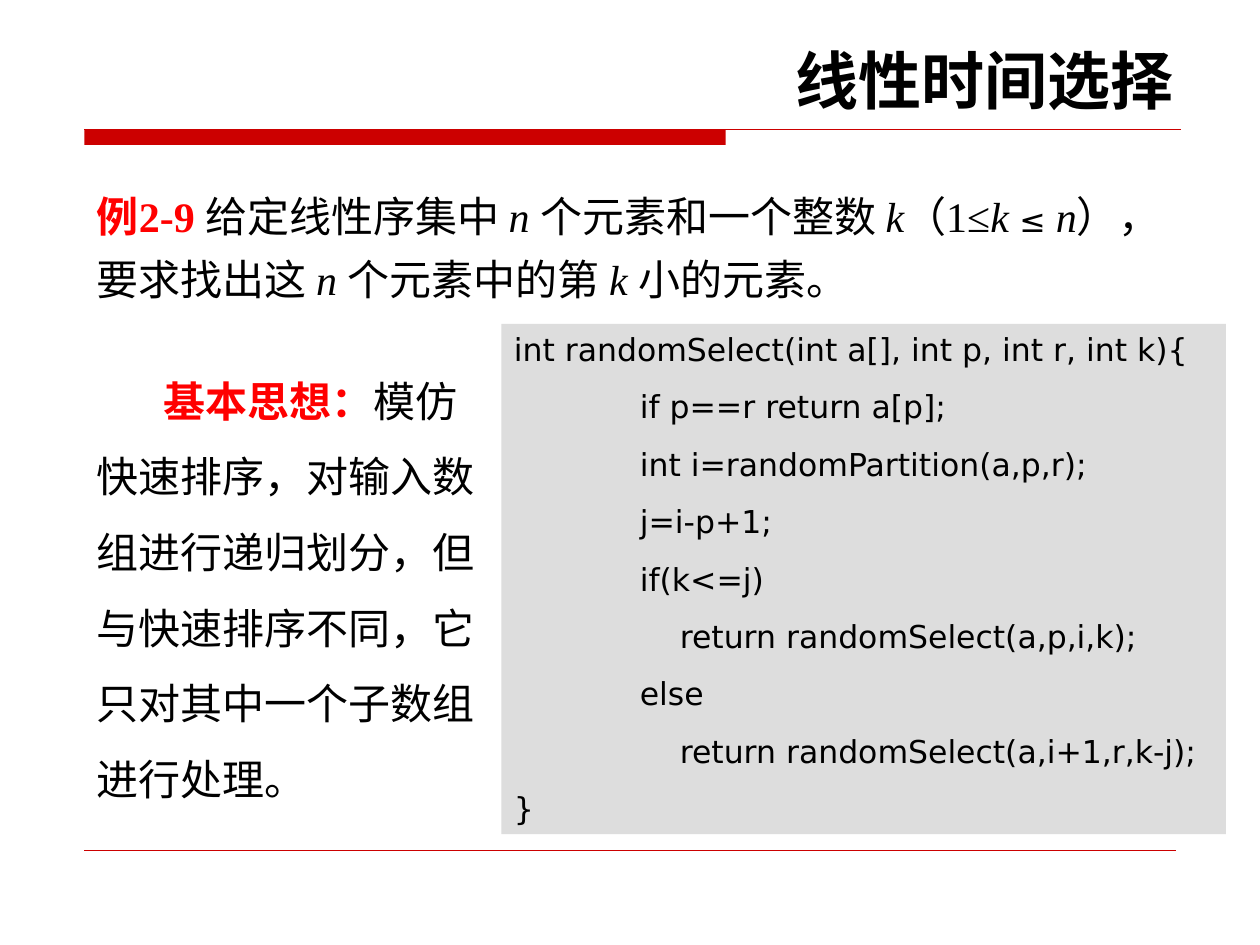
from lxml import etree
from pptx import Presentation
from pptx.dml.color import RGBColor
from pptx.enum import shapes, text
from pptx.oxml.ns import qn
from pptx.util import Inches, Pt

COLORS = {"red": "CC0000", "accent": "FF0000", "ink": "000000", "panel": "DDDDDD"}
SANS, SERIF = "DejaVu Sans", "Times New Roman"

# Content: each run is (text, style name)
TITLE = [("线性时间选择", "title")]
PROBLEM = [
    ("例2-9 ", "lead"), ("给定线性序集中 ", "body"), ("n ", "variable"),
    ("个元素和一个整数 ", "body"), ("k", "variable"), ("（1≤", "body"),
    ("k ", "variable"), ("≤ ", "code"), ("n", "variable"),
    ("），要求找出这 ", "body"), ("n ", "variable"), ("个元素中的第 ", "body"),
    ("k ", "variable"), ("小的元素。", "body"),
]
IDEA = [
    ("基本思想：", "lead"),
    ("模仿快速排序，对输入数组进行递归划分，但与快速排序不同，它只对其中一个子数组进行处理。", "body"),
]
CODE = """int randomSelect(int a[], int p, int r, int k){
\tif p==r return a[p];
\tint i=randomPartition(a,p,r);
\tj=i-p+1;
\tif(k<=j)
\t    return randomSelect(a,p,i,k);
\telse
\t    return randomSelect(a,i+1,r,k-j);
}"""

STYLES = {
    "title": ({"size": Pt(36), "name": SANS, "bold": True}, "ink"),
    "lead": ({"size": Pt(24), "name": SERIF, "bold": True}, "accent"),
    "body": ({"size": Pt(24), "name": SERIF}, "ink"),
    "variable": ({"size": Pt(24), "name": SERIF, "italic": True}, "ink"),
    "code": ({"size": Pt(18), "name": SANS}, "ink"),
}


def color(name):
    return RGBColor.from_string(COLORS[name])


def add_rectangle(slide, box, fill):
    shape = slide.shapes.add_shape(shapes.MSO_SHAPE.RECTANGLE, *map(Inches, box))
    shape.shadow.inherit = False
    shape.fill.solid()
    shape.fill.fore_color.rgb = color(fill)
    shape.line.fill.background()
    return shape


def add_rule(slide, left, right, y, width):
    rule = slide.shapes.add_connector(
        shapes.MSO_CONNECTOR.STRAIGHT, *map(Inches, (left, y, right, y)))
    rule.line.color.rgb = color("red")
    rule.line.width = Pt(width)
    etree.SubElement(rule._element.spPr, qn("a:effectLst"))


def write(shape, paragraphs, space=0, indent=0, tab=0, **layout):
    frame = shape.text_frame
    frame.word_wrap = True
    frame.auto_size = text.MSO_AUTO_SIZE.SHAPE_TO_FIT_TEXT
    frame.vertical_anchor = text.MSO_ANCHOR.TOP
    for index, runs in enumerate(paragraphs):
        paragraph = frame.add_paragraph() if index else frame.paragraphs[0]
        paragraph.alignment = text.PP_ALIGN.LEFT
        paragraph.space_before = Pt(space if index else 0)
        for name, value in layout.items():
            setattr(paragraph, name, value)
        properties = paragraph._p.get_or_add_pPr()
        if indent:
            properties.set("indent", str(Inches(indent)))
        if tab:
            tabs = etree.SubElement(properties, qn("a:tabLst"))
            etree.SubElement(tabs, qn("a:tab"), pos=str(Inches(tab)), algn="l")
        for content, style in runs:
            run = paragraph.add_run()
            run.text = content
            values, ink = STYLES[style]
            for name, value in values.items():
                setattr(run.font, name, value)
            run.font.color.rgb = color(ink)


def add_text(slide, box, runs, **layout):
    write(slide.shapes.add_textbox(*map(Inches, box)), [runs], **layout)


def main():
    presentation = Presentation()
    presentation.slide_width, presentation.slide_height = Inches(10), Inches(7.5)
    slide = presentation.slides.add_slide(presentation.slide_layouts[6])
    left = 0.67

    # Title with its red bar and rule
    add_rectangle(slide, (left, 1.03, 5.09, 0.12), "red")
    add_rule(slide, left, 9.37, 1.03, 0.75)
    add_text(slide, (0.51, 0.28, 8.9, 0.7), TITLE, alignment=text.PP_ALIGN.RIGHT)

    # Footer rule
    add_rule(slide, left, 9.33, 6.75, 0.25)

    # Problem statement and basic idea
    add_text(slide, (left, 1.36, 8.9, 1.1), PROBLEM, line_spacing=1.25)
    add_text(slide, (left, 2.73, 3.39, 3.7), IDEA, line_spacing=1.5, indent=0.53)

    # Code panel
    panel = add_rectangle(slide, (3.98, 2.57, 5.75, 4.05), "panel")
    write(panel, [[(line, "code")] for line in CODE.splitlines()], space=11.2, tab=1)

    presentation.save("out.pptx")


if __name__ == "__main__":
    main()
